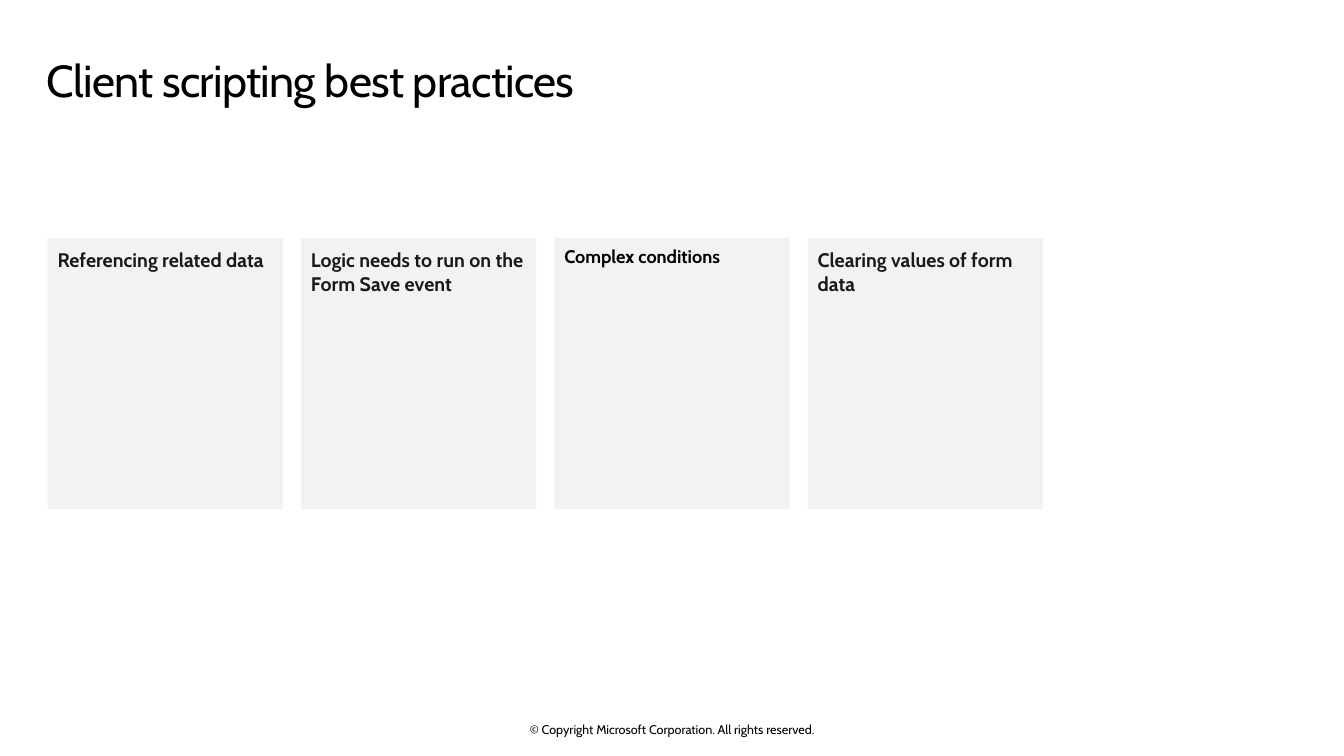
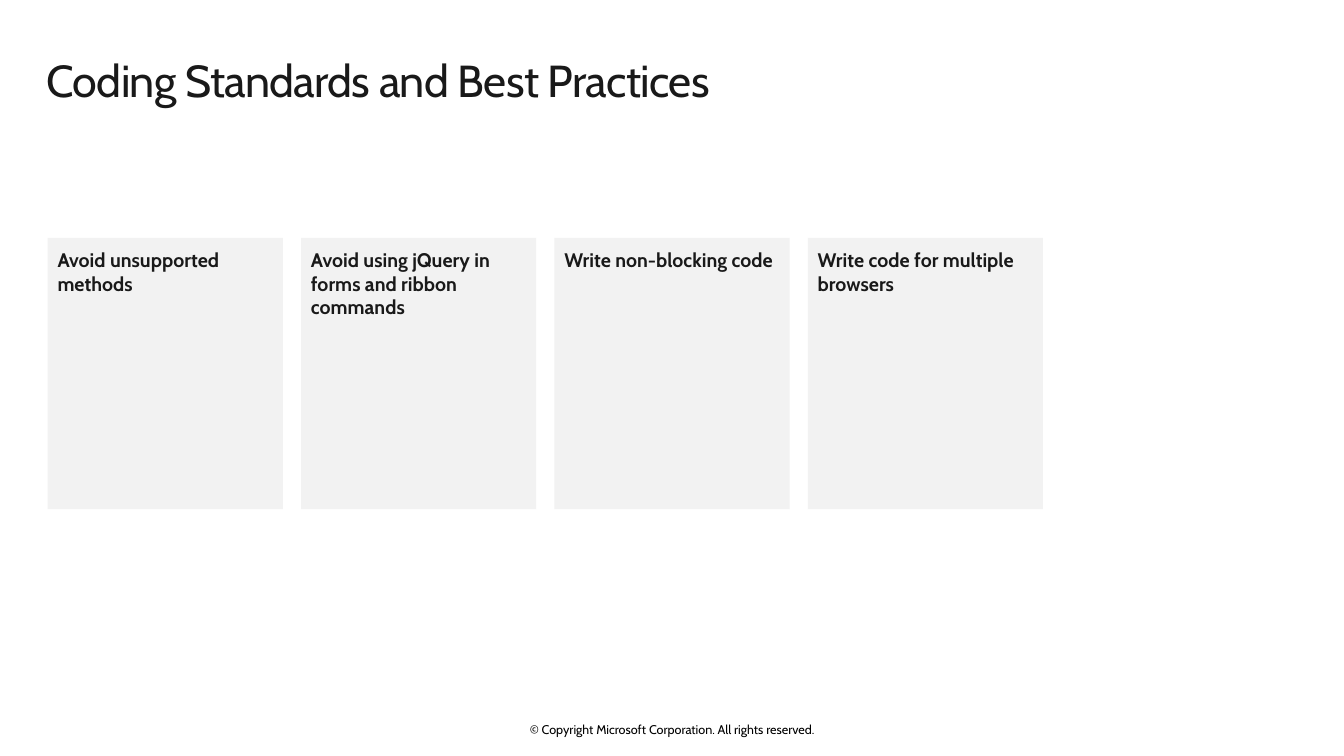
from pptx import Presentation
from pptx.dml.color import RGBColor
from pptx.enum.shapes import MSO_SHAPE
from pptx.enum.text import MSO_ANCHOR, MSO_AUTO_SIZE, PP_ALIGN
from pptx.util import Pt

FONT = "Cabin"
BLACK, INK, CARD = "000000", "191919", "F2F2F2"
FOOTER = "© Copyright Microsoft Corporation. All rights reserved."
CARD_LEFT, CARD_TOP, CARD_WIDTH, CARD_HEIGHT, CARD_PITCH = 34, 170, 168, 193.7, 181

SLIDES = [
    ("Client scripting best practices", BLACK, [
        ("Referencing related data", 14, INK, 1),
        ("Logic needs to run on the Form Save event", 14, INK, 1),
        ("Complex conditions", 13, BLACK, 0.9),
        ("Clearing values of form data", 14, INK, 1),
    ]),
    ("Coding Standards and Best Practices", INK, [
        ("Avoid unsupported methods", 14, INK, 1),
        ("Avoid using jQuery in forms and ribbon commands", 14, INK, 1),
        ("Write non-blocking code", 14, INK, 1),
        ("Write code for multiple browsers", 14, INK, 1),
    ]),
]


def rgb(value):
    return RGBColor.from_string(value)


def write(sp, text, size, color, margins, bold=False, align=PP_ALIGN.LEFT,
          anchor=MSO_ANCHOR.TOP, spacing=1):
    tf = sp.text_frame
    tf.text = text
    tf.word_wrap = True
    tf.auto_size = MSO_AUTO_SIZE.NONE
    tf.vertical_anchor = anchor
    tf.margin_left, tf.margin_top, tf.margin_right, tf.margin_bottom = map(Pt, margins)
    p = tf.paragraphs[0]
    p.alignment = align
    p.line_spacing = spacing
    r = p.runs[0]
    r.font.name = FONT
    r.font.size = Pt(size)
    r.font.bold = bold
    r.font.color.rgb = rgb(color)
    return r


prs = Presentation()
prs.slide_width, prs.slide_height = Pt(960), Pt(540)

for title, title_color, cards in SLIDES:
    s = prs.slides.add_slide(prs.slide_layouts[5])
    s.background.fill.solid()
    s.background.fill.fore_color.rgb = rgb("FFFFFF")

    sp = s.shapes.title
    sp.left, sp.top, sp.width, sp.height = Pt(33.3), Pt(34.5), Pt(893), Pt(53.3)
    r = write(sp, title, 32, title_color, (0, 7.2, 11.5, 7.2), spacing=0.9)
    r._r.get_or_add_rPr().set("spc", "-50")

    for i, (text, size, color, spacing) in enumerate(cards):
        sp = s.shapes.add_shape(MSO_SHAPE.RECTANGLE, Pt(CARD_LEFT + i * CARD_PITCH),
                                Pt(CARD_TOP), Pt(CARD_WIDTH), Pt(CARD_HEIGHT))
        sp.shadow.inherit = False
        sp.fill.solid()
        sp.fill.fore_color.rgb = rgb(CARD)
        sp.line.fill.background()
        write(sp, text, size, color, (7.2,) * 4, bold=True, spacing=spacing)

    sp = s.shapes.add_textbox(Pt(318), Pt(515.5), Pt(324), Pt(11))
    write(sp, FOOTER, 9, BLACK, (0,) * 4, align=PP_ALIGN.CENTER, anchor=MSO_ANCHOR.MIDDLE)

prs.save("out.pptx")
